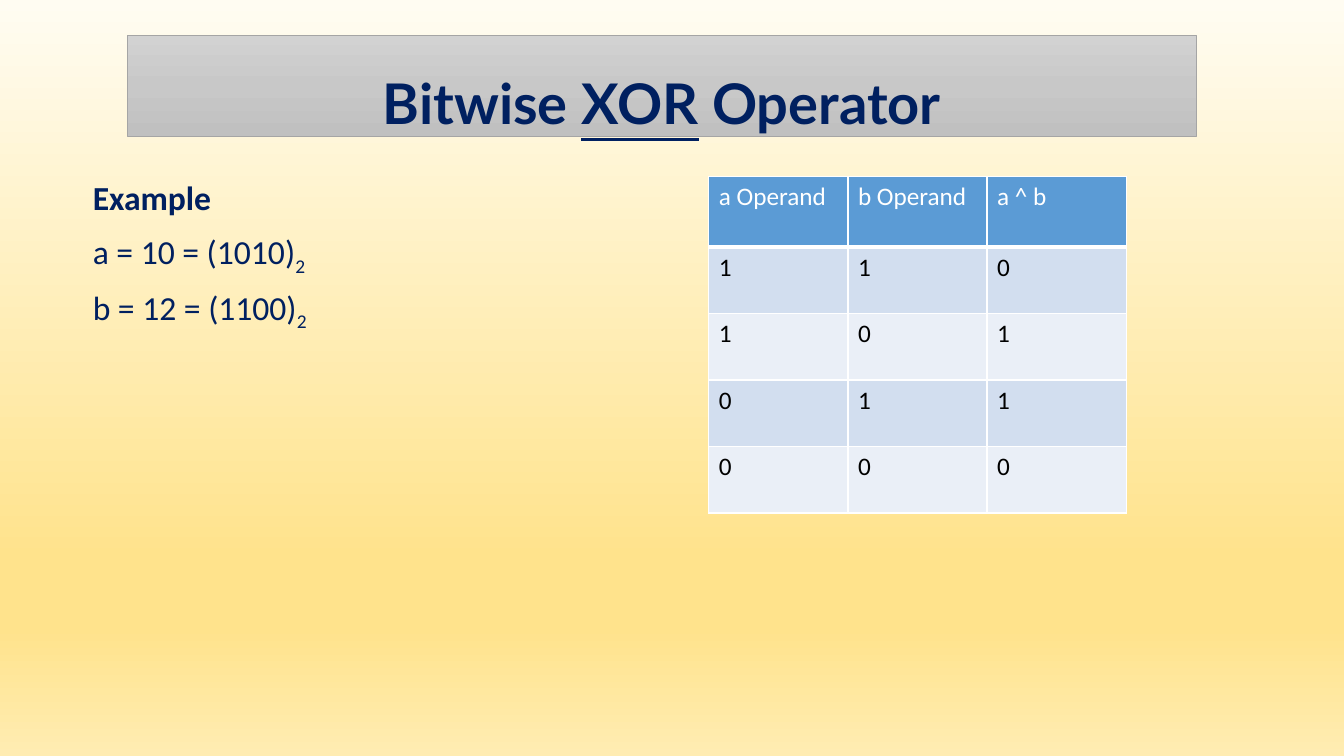
from lxml.etree import SubElement
from pptx import Presentation
from pptx.dml.color import RGBColor
from pptx.enum.text import MSO_ANCHOR, MSO_AUTO_SIZE, PP_ALIGN
from pptx.oxml.ns import qn
from pptx.util import Inches, Pt

COLORS = {
    "navy": "002060",
    "white": "FFFFFF",
    "black": "000000",
    "header": "5B9BD5",
    "band_dark": "D2DEEF",
    "band_light": "EAEFF7",
    "title_line": "A5A5A5",
}
BACKGROUND_STOPS = [(0, "FFFCF2"), (74, "FFE38C"), (83, "FFE38C"), (100, "FFECB2")]
TITLE_STOPS = [(0, "D2D2D2"), (50, "C8C8C8"), (100, "C0C0C0")]
TRUTH_TABLE = [
    ["a Operand", "b Operand", "a ^ b"],
    ["1", "1", "0"],
    ["1", "0", "1"],
    ["0", "1", "1"],
    ["0", "0", "0"],
]


def rgb(name):
    return RGBColor.from_string(COLORS[name])


def add_run(p, text, size=24, color="navy", font="Calibri", bold=False,
            underline=False, baseline=0):
    r = p.add_run()
    r.text = text
    r.font.size = Pt(size)
    r.font.name = font
    r.font.bold = bold
    r.font.underline = underline
    r.font.color.rgb = rgb(color)
    if baseline:
        r.font._element.set("baseline", str(baseline * 1000))


def set_gradient(fill, element, stops):
    """Fill downwards with (percent, hex) stops; element holds the fill."""
    fill.gradient()
    fill.gradient_angle = 270
    stop_list = next(element.iter(qn("a:gsLst")))
    for old in list(stop_list):
        stop_list.remove(old)
    for percent, color in stops:
        stop = SubElement(stop_list, qn("a:gs"), pos=str(percent * 1000))
        SubElement(stop, qn("a:srgbClr"), val=color)


def place(sp, left, top, width, height):
    sp.left, sp.top = Inches(left), Inches(top)
    sp.width, sp.height = Inches(width), Inches(height)


def format_title(sp):
    place(sp, 1.26, 0.35, 10.61, 1)
    sp_pr = sp.element.spPr
    geometry = SubElement(sp_pr, qn("a:prstGeom"), prst="roundRect")
    SubElement(geometry, qn("a:avLst"))
    set_gradient(sp.fill, sp_pr, TITLE_STOPS)
    sp.line.color.rgb = rgb("title_line")
    sp.line.width = Pt(0.5)

    tf = sp.text_frame
    tf.auto_size = MSO_AUTO_SIZE.NONE
    tf.vertical_anchor = MSO_ANCHOR.MIDDLE
    p = tf.paragraphs[0]
    p.alignment = PP_ALIGN.CENTER
    p.line_spacing = 1.5
    for text in ("Bitwise ", "XOR", " Operator"):
        add_run(p, text, size=40, font="Lato", bold=True, underline=text == "XOR")


def format_example(sp):
    place(sp, 0.82, 1.75, 11.5, 5.51)
    tf = sp.text_frame
    tf.auto_size = MSO_AUTO_SIZE.NONE
    lines = [("Example", ""), ("a = 10 = (1010)", "2"), ("b = 12 = (1100)", "2")]
    for i, (text, subscript) in enumerate(lines):
        p = tf.add_paragraph() if i else tf.paragraphs[0]
        p.line_spacing = 0.9
        p.space_before = Pt(10)
        p_pr = p._p.get_or_add_pPr()
        p_pr.set("marL", "0")
        p_pr.set("indent", "0")
        SubElement(p_pr, qn("a:buNone"))
        add_run(p, text, bold=not subscript)
        if subscript:
            add_run(p, subscript, baseline=-25)


def add_border(cell, side, width):
    ln = SubElement(cell._tc.get_or_add_tcPr(), qn(f"a:ln{side}"), w=str(Pt(width)))
    fill = SubElement(ln, qn("a:solidFill"))
    SubElement(fill, qn("a:srgbClr"), val=COLORS["white"])


def add_truth_table(s):
    rows, cols = len(TRUTH_TABLE), len(TRUTH_TABLE[0])
    table = s.shapes.add_table(rows, cols, Inches(7.03), Inches(1.75),
                               Inches(4.14), Inches(3.35)).table
    for col in table.columns:
        col.width = Inches(1.38)
    for i, values in enumerate(TRUTH_TABLE):
        is_header = i == 0
        table.rows[i].height = Inches(0.7 if is_header else 0.66)
        band = "header" if is_header else "band_dark" if i % 2 else "band_light"
        for j, value in enumerate(values):
            cell = table.cell(i, j)
            for side in "LRTB":
                add_border(cell, side, 3 if is_header and side == "B" else 1)
            cell.fill.solid()
            cell.fill.fore_color.rgb = rgb(band)
            add_run(cell.text_frame.paragraphs[0], value, size=18,
                    color="white" if is_header else "black")


def main():
    prs = Presentation()
    prs.slide_width, prs.slide_height = Inches(13.33), Inches(7.5)
    s = prs.slides.add_slide(prs.slide_layouts[1])
    set_gradient(s.background.fill, s.element, BACKGROUND_STOPS)
    format_title(s.shapes.title)
    format_example(s.placeholders[1])
    add_truth_table(s)
    prs.save("out.pptx")


if __name__ == "__main__":
    main()
